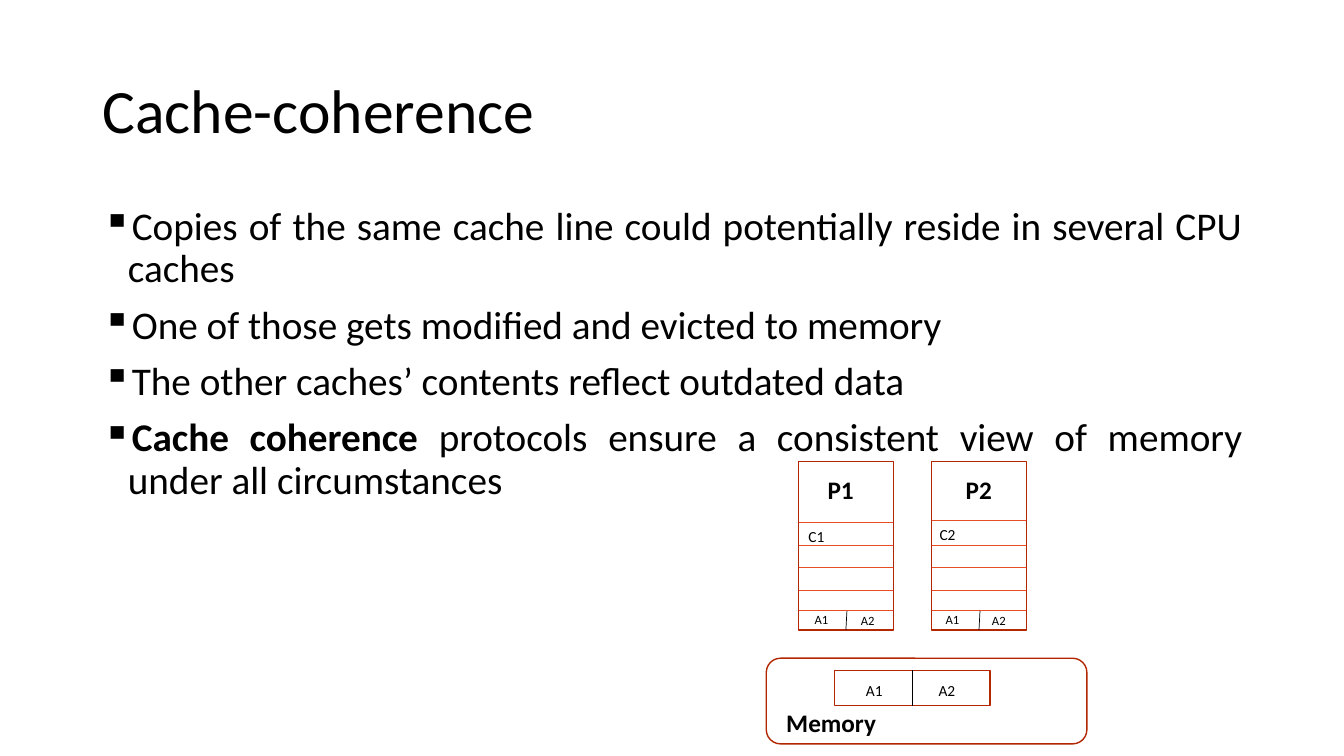
import pptx
import pptx.dml.color
import pptx.enum.shapes
import pptx.enum.text
import pptx.oxml.ns
import pptx.util
from lxml import etree

PX = 9144  # EMU per px, 100 px to the inch
FONT = "Calibri"
BLACK, WHITE, RUST, ORANGE = "000000", "FFFFFF", "B22600", "E84C22"
BULLETS = [
    [("Copies of the same cache line could potentially reside in several CPU caches", False)],
    [("One of those gets modified and evicted to memory", False)],
    [("The other caches’ contents reflect outdated data", False)],
    [("Cache coherence ", True),
     ("protocols ensure a consistent view of memory under all circumstances", False)],
]
CPU_TOP, CPU_W, CPU_H = 458, 94, 167
ROWS = [541, 563, 586, 606]


def px(*values):
    return [pptx.util.Emu(v * PX) for v in values]


def color(value):
    return pptx.dml.color.RGBColor.from_string(value)


def set_attrs(target, formats):
    for name, value in formats.items():
        setattr(target, name, value)


def add_run(p, text, size, bold=False):
    r = p.add_run()
    r.text = text
    set_attrs(r.font, {"name": FONT, "size": pptx.util.Pt(size), "bold": bold})
    r.font.color.rgb = color(BLACK)


def add_text_frame(s, box, **formats):
    tf = s.shapes.add_textbox(*px(*box)).text_frame
    set_attrs(tf, {"word_wrap": True, **formats})
    return tf


def add_label(s, text, box, size, bold=False, wrap=True):
    tf = add_text_frame(s, box, word_wrap=wrap,
                        auto_size=pptx.enum.text.MSO_AUTO_SIZE.SHAPE_TO_FIT_TEXT)
    add_run(tf.paragraphs[0], text, size, bold)


def add_bullet(p, runs):
    set_attrs(p, {"alignment": pptx.enum.text.PP_ALIGN.JUSTIFY,
                  "line_spacing": 0.9, "space_before": pptx.util.Pt(10)})
    pPr = p._p.get_or_add_pPr()
    indent = 25 * PX
    pPr.set("marL", str(indent))
    pPr.set("indent", str(-indent))
    etree.SubElement(pPr, pptx.oxml.ns.qn("a:buChar")).set("char", "▪")
    for text, bold in runs:
        add_run(p, text, 28, bold)


def add_box(s, box, kind="RECTANGLE"):
    sp = s.shapes.add_shape(getattr(pptx.enum.shapes.MSO_SHAPE, kind), *px(*box))
    sp.shadow.inherit = False
    sp.fill.solid()
    sp.fill.fore_color.rgb = color(WHITE)
    sp.line.color.rgb = color(RUST)
    sp.line.width = pptx.util.Pt(1)
    return sp


def add_line(s, start, end, line_color):
    line = s.shapes.add_connector(
        pptx.enum.shapes.MSO_CONNECTOR.STRAIGHT, *px(*start, *end))
    line.line.color.rgb = color(line_color)
    line.line.width = pptx.util.Pt(0.5)
    etree.SubElement(line._element.spPr, pptx.oxml.ns.qn("a:effectLst"))
    return line


def add_processor(s, number, left, name_left, label_left, cache_top):
    """Draw a CPU box whose lower part is its cache, split into rows."""
    cpu = add_box(s, (left, CPU_TOP, CPU_W, CPU_H))
    for y in [cache_top] + ROWS:
        row = add_line(s, (left, y), (left + CPU_W, y), ORANGE)
        if y == ROWS[0]:
            row.begin_connect(cpu, 1)
            row.end_connect(cpu, 3)
    middle = left + CPU_W // 2
    divider = add_line(s, (middle + 1, ROWS[-1]), (middle, CPU_TOP + CPU_H), BLACK)
    divider.end_connect(cpu, 2)
    add_label(s, f"P{number}", (name_left, 466, 51, 40), 18, True)
    add_label(s, f"C{number}", (label_left, cache_top, 36, 29), 11)
    add_label(s, "A1", (label_left + 6, 602, 38, 25), 9)
    add_label(s, "A2", (label_left + 52, 603, 38, 25), 9)


def add_memory(s):
    add_box(s, (760, 653, 318, 85), "ROUNDED_RECTANGLE")
    cells = add_box(s, (828, 665, 154, 35))
    divider = add_line(s, (905, 665), (905, 700), BLACK)
    divider.begin_connect(cells, 0)
    divider.end_connect(cells, 2)
    for text, left in [("A1", 849), ("A2", 921)]:
        add_label(s, text, (left, 671, 39, 29), 11)
    add_label(s, "Memory", (770, 697, 110, 40), 18, True, wrap=False)


def main():
    prs = pptx.Presentation()
    prs.slide_width, prs.slide_height = px(1333, 750)
    s = prs.slides.add_slide(prs.slide_layouts[6])

    title = add_text_frame(s, (92, 40, 1150, 145),
                           vertical_anchor=pptx.enum.text.MSO_ANCHOR.MIDDLE)
    title.paragraphs[0].line_spacing = 0.9
    add_run(title.paragraphs[0], "Cache-coherence", 44)

    body = add_text_frame(s, (92, 200, 1150, 476))
    for i, runs in enumerate(BULLETS):
        add_bullet(body.add_paragraph() if i else body.paragraphs[0], runs)

    add_processor(s, 1, 792, 811, 792, 518)
    add_processor(s, 2, 924, 948, 922, 516)
    add_memory(s)
    prs.save("out.pptx")


if __name__ == "__main__":
    main()
